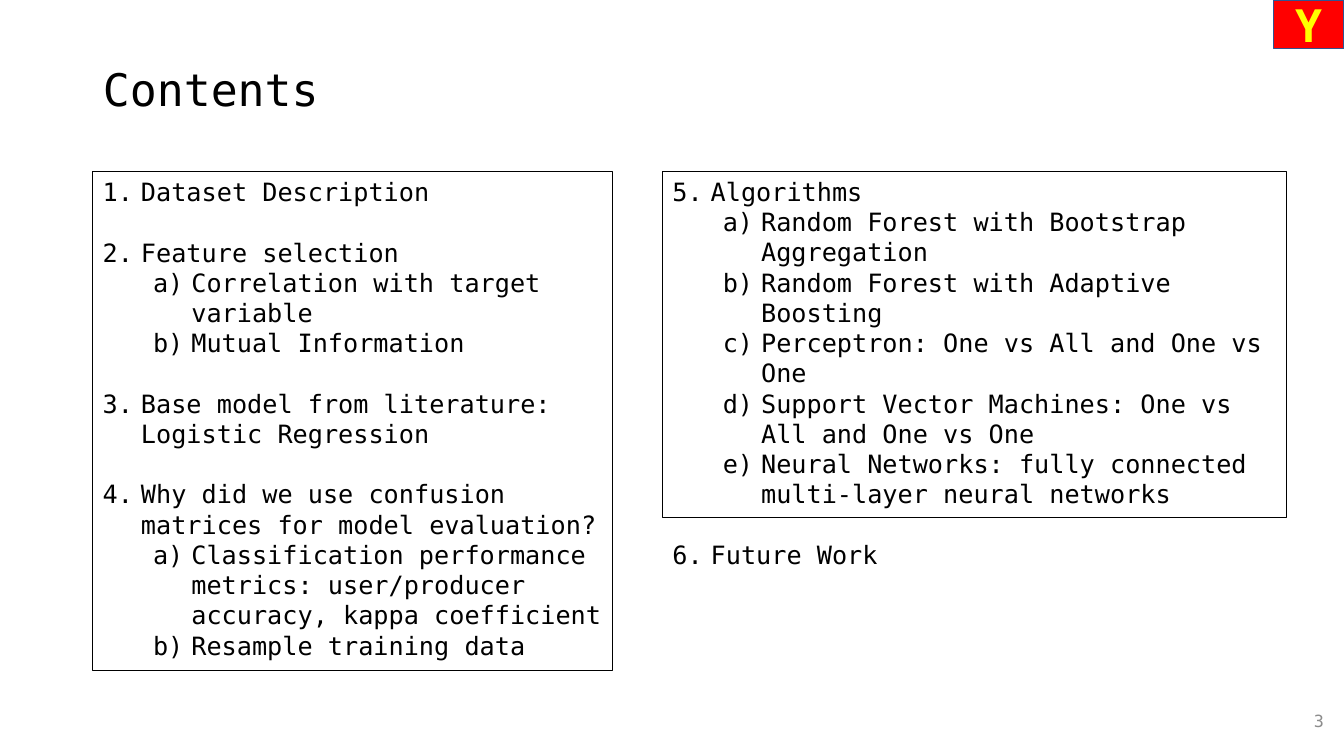
import pptx
import pptx.dml.color
import pptx.enum.shapes
import pptx.enum.text
import pptx.oxml.ns
import pptx.util
from lxml import etree
from pptx.util import Inches

FONT = "DejaVu Sans Mono"
BODY_SIZE = 18
BLANK_LINE = 21.6
ALIGN = pptx.enum.text.PP_ALIGN
MIDDLE = pptx.enum.text.MSO_ANCHOR.MIDDLE

# Each section is a heading followed by its sub-points.
FIRST_SECTIONS = [
    ["Dataset Description"],
    ["Feature selection", "Correlation with target variable", "Mutual Information"],
    ["Base model from literature: Logistic Regression"],
    [
        "Why did we use confusion matrices for model evaluation?",
        "Classification performance metrics: user/producer accuracy, kappa coefficient",
        "Resample training data",
    ],
]
LAST_SECTIONS = [
    [
        "Algorithms",
        "Random Forest with Bootstrap Aggregation",
        "Random Forest with Adaptive Boosting",
        "Perceptron: One vs All and One vs One",
        "Support Vector Machines: One vs All and One vs One",
        "Neural Networks: fully connected multi-layer neural networks",
    ],
    ["Future Work"],
]


def rgb(color):
    return pptx.dml.color.RGBColor.from_string(color)


def format_paragraph(paragraph, size, color="000000", bold=False, align=ALIGN.LEFT):
    paragraph.alignment = align
    for run in paragraph.runs:
        run.font.name = FONT
        run.font.size = pptx.util.Pt(size)
        run.font.bold = bold
        run.font.color.rgb = rgb(color)


def number_paragraph(paragraph, level, start):
    """Number with 1. at the top level and a) below it, on a hanging indent."""
    paragraph.level = level
    properties = paragraph._p.get_or_add_pPr()
    properties.set("marL", str(Inches(0.38 + 0.5 * level)))
    properties.set("indent", str(Inches(-0.38)))
    number = etree.SubElement(properties, pptx.oxml.ns.qn("a:buAutoNum"))
    number.set("type", "alphaLcParenR" if level else "arabicPeriod")
    if level == 0 and start > 1:
        number.set("startAt", str(start))


def add_rectangle(slide, left, top, width, height, line, line_width, fill=None):
    shape = slide.shapes.add_shape(
        pptx.enum.shapes.MSO_SHAPE.RECTANGLE,
        Inches(left), Inches(top), Inches(width), Inches(height))
    shape.shadow.inherit = False
    shape.line.color.rgb = rgb(line)
    shape.line.width = pptx.util.Pt(line_width)
    if fill:
        shape.fill.solid()
        shape.fill.fore_color.rgb = rgb(fill)
    else:
        shape.fill.background()
    return shape


def add_contents_box(slide, left, width, height, sections, start=1):
    box = add_rectangle(slide, left, 1.7, width, height, "000000", 0.75)
    text_frame = box.text_frame
    text_frame.word_wrap = True
    text_frame.vertical_anchor = pptx.enum.text.MSO_ANCHOR.TOP
    text_frame.text = "\n".join(text for section in sections for text in section)
    paragraphs = iter(text_frame.paragraphs)
    for section_index, section in enumerate(sections):
        for index in range(len(section)):
            paragraph = next(paragraphs)
            if section_index > 0 and index == 0:
                paragraph.space_before = pptx.util.Pt(BLANK_LINE)
            number_paragraph(paragraph, min(index, 1), start)
            format_paragraph(paragraph, BODY_SIZE)


def add_title(slide, text):
    title = slide.shapes.title
    title.left, title.top = Inches(0.92), Inches(0.4)
    title.width, title.height = Inches(11.33), Inches(1.03)
    title.text_frame.text = text
    title.text_frame.vertical_anchor = MIDDLE
    paragraph = title.text_frame.paragraphs[0]
    paragraph.line_spacing = 0.9
    format_paragraph(paragraph, 32)


def add_slide_number(slide, number):
    box = slide.shapes.add_textbox(
        Inches(12.42), Inches(6.95), Inches(0.81), Inches(0.4))
    box.text_frame.word_wrap = True
    box.text_frame.vertical_anchor = MIDDLE
    box.text_frame.text = number
    format_paragraph(box.text_frame.paragraphs[0], 12, "8C8C8C", align=ALIGN.RIGHT)


def add_corner_tag(slide, letter):
    tag = add_rectangle(slide, 12.63, 0, 0.7, 0.48, "325491", 1, fill="FF0000")
    tag.text_frame.vertical_anchor = MIDDLE
    tag.text_frame.text = letter
    format_paragraph(tag.text_frame.paragraphs[0], 32, "FFFF00", True, ALIGN.CENTER)


def main():
    presentation = pptx.Presentation()
    presentation.slide_width = Inches(13.33)
    presentation.slide_height = Inches(7.5)
    slide = presentation.slides.add_slide(
        presentation.slide_layouts.get_by_name("Title Only"))
    add_title(slide, "Contents")
    add_contents_box(slide, 0.92, 5.16, 4.95, FIRST_SECTIONS)
    add_contents_box(slide, 6.57, 6.19, 3.43, LAST_SECTIONS,
                     start=len(FIRST_SECTIONS) + 1)
    add_slide_number(slide, "3")
    add_corner_tag(slide, "Y")
    presentation.save("out.pptx")


if __name__ == "__main__":
    main()
